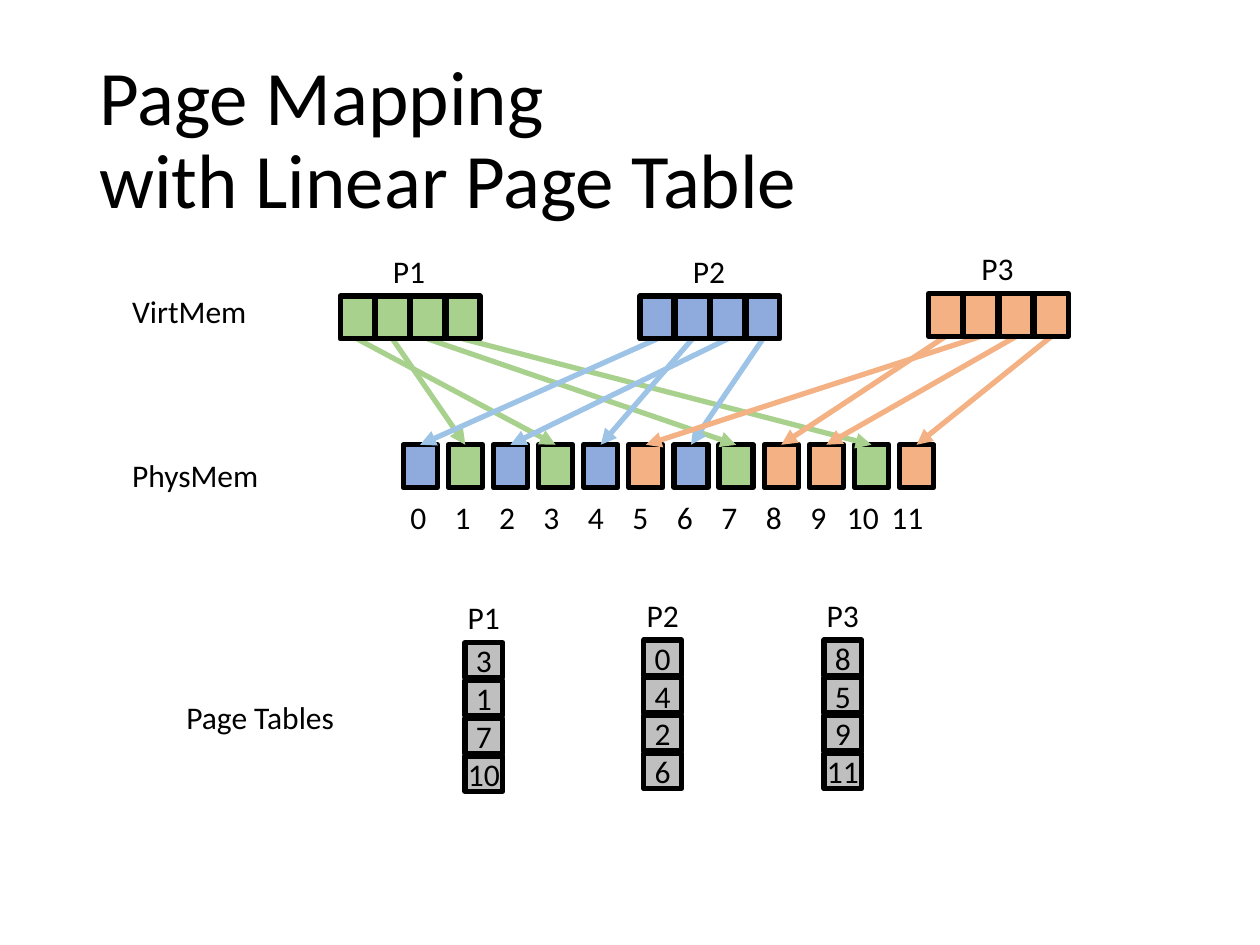
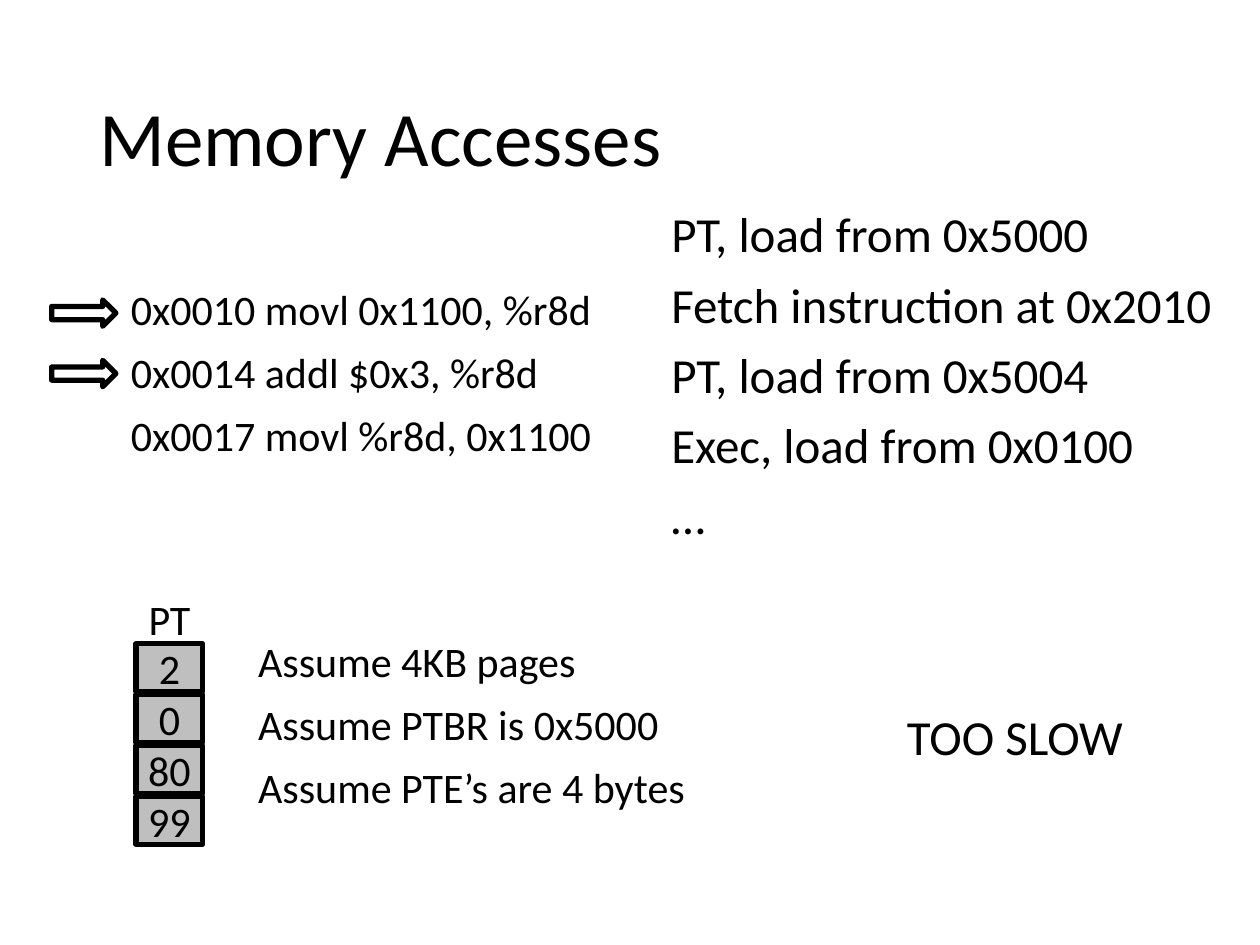
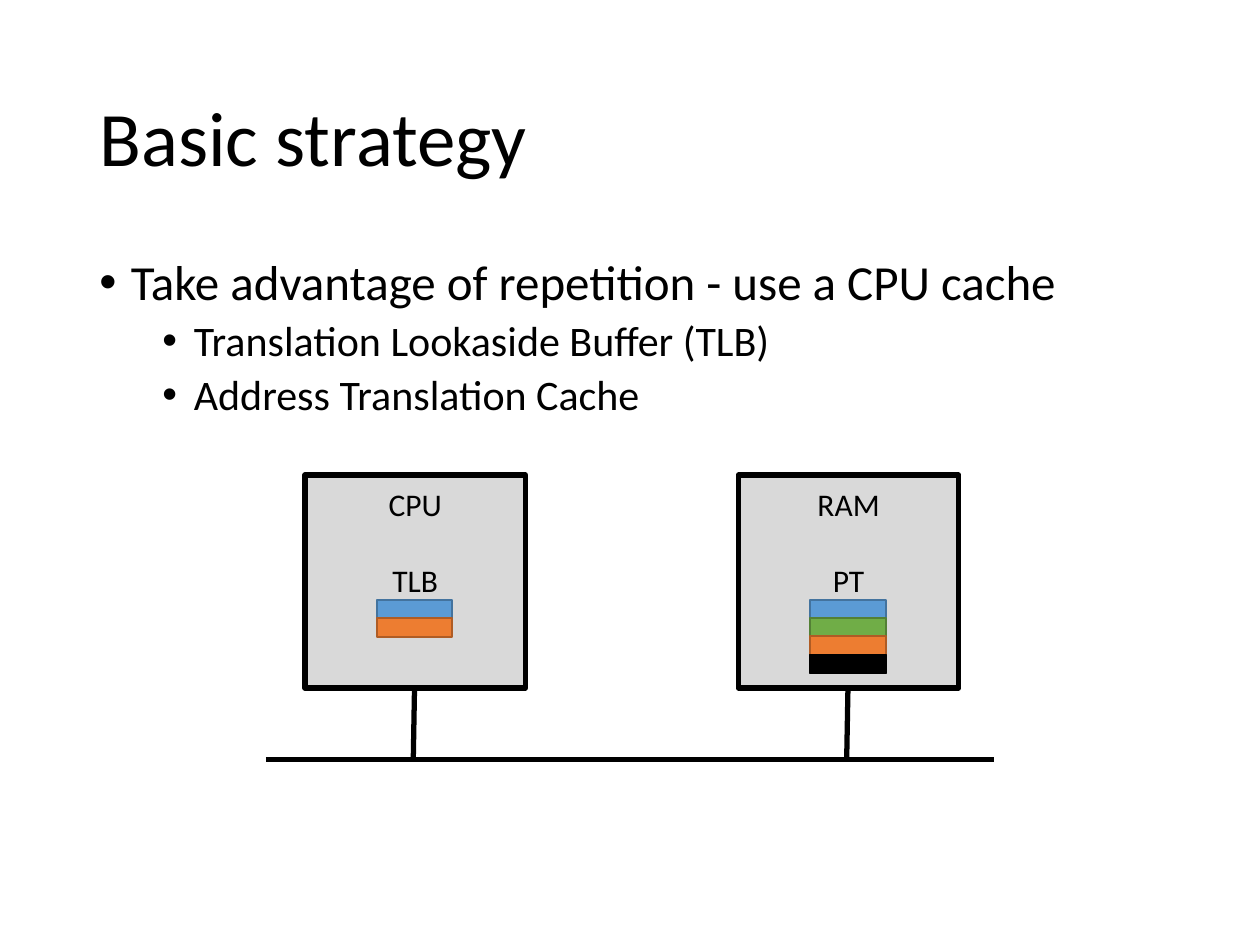
from dataclasses import dataclass

from lxml import etree
from pptx import Presentation
from pptx.dml.color import RGBColor
from pptx.enum.shapes import MSO_CONNECTOR, MSO_SHAPE
from pptx.enum.text import MSO_ANCHOR, PP_ALIGN
from pptx.oxml.ns import qn
from pptx.util import Pt

LINE = MSO_CONNECTOR.STRAIGHT
RECT, ARROW = MSO_SHAPE.RECTANGLE, MSO_SHAPE.RIGHT_ARROW
TOP, MIDDLE = MSO_ANCHOR.TOP, MSO_ANCHOR.MIDDLE
LEFT, CENTER = PP_ALIGN.LEFT, PP_ALIGN.CENTER


@dataclass(frozen=True)
class Theme:
    font: str = "Calibri"
    ink: str = "000000"
    cell: str = "BFBFBF"
    chip: str = "D9D9D9"
    title: int = 44
    body: int = 28
    sub: int = 24
    small: int = 18
    thick: int = 3
    thin: int = 1


THEME = Theme()
SCALE = 9144  # EMU per px, 100 px to the inch

# Page mapping: each process has its cell colour, arrow colour, places and table
PROCS = [
    dict(name="P1", fill="A9D18E", arrow="A9D18E", virt=(270, 235),
         table=(369, 510), pages=[3, 1, 7, 10]),
    dict(name="P2", fill="8FAADC", arrow="9DC3E6", virt=(508, 235),
         table=(511, 508), pages=[0, 4, 2, 6]),
    dict(name="P3", fill="F4B183", arrow="F4B183", virt=(737, 233),
         table=(654, 508), pages=[8, 5, 9, 11]),
]
SIDE = [("VirtMem", (95, 227, 112, 40)), ("PhysMem", (95, 357, 121, 40)),
        ("Page Tables", (138, 549, 139, 40))]
FRAMES = 12
FRAME_W, FRAME_H = 27, 34
PHYS_X, PHYS_Y, PHYS_SPAN = 320, 353, 394
VIRT_STEP = 28

# Memory accesses
STEPS = ["PT, load from 0x5000", "Fetch instruction at 0x2010",
         "PT, load from 0x5004", "Exec, load from 0x0100", "…"]
CODE = ["0x0010 movl 0x1100, %r8d", "0x0014 addl $0x3, %r8d",
        "0x0017 movl %r8d, 0x1100"]
FACTS = ["Assume 4KB pages", "Assume PTBR is 0x5000", "Assume PTE’s are 4 bytes"]
NOTES = [(STEPS, (523, 162, 451, 476), THEME.body),
         (CODE, (94, 225, 421, 166), THEME.sub),
         (FACTS, (195, 504, 421, 166), THEME.sub),
         (["TOO SLOW"], (710, 561, 210, 53), THEME.body)]
POINTERS = [238, 286]
PT_ROWS = [2, 0, 80, 99]

# Basic strategy
LEAD = "Take advantage of repetition - use a CPU cache"
POINTS = ["Translation Lookaside Buffer (TLB)", "Address Translation Cache"]
BLUE, GREEN, ORANGE, BLACK = (("5B9BD5", "43739E"), ("70AD47", "538035"),
                              ("ED7D31", "AF5C24"), ("000000", "000000"))
CHIPS = [("CPU", "TLB", 242, [BLUE, ORANGE]),
         ("RAM", "PT", 586, [BLUE, GREEN, ORANGE, BLACK])]


def px(*vals):
    return [round(v * SCALE) for v in vals]


def rgb(code):
    return RGBColor.from_string(code)


def add_tag(parent, name, **attrs):
    return etree.SubElement(parent, qn(name), attrs)


def write(shape, lines, size=THEME.small, align=LEFT, anchor=TOP, wrap=True,
          inset=None, ratio=None, before=None, bullet=None, indent=0, tabs=(),
          more=False):
    """Put one paragraph per line; more=True adds to text already there.

    inset is left, top, right, bottom; before lists points or gives one value.
    """
    frame = shape.text_frame
    frame.word_wrap, frame.vertical_anchor = wrap, anchor
    if inset is not None:
        (frame.margin_left, frame.margin_top,
         frame.margin_right, frame.margin_bottom) = px(*inset)
    for i, line in enumerate(lines):
        para = frame.add_paragraph() if i or more else frame.paragraphs[0]
        para.text, para.alignment = line, align
        if ratio:
            para.line_spacing = ratio
        gap = before[i] if isinstance(before, list) else before
        if gap is not None:
            para.space_before = Pt(gap)
        for run in para.runs:
            run.font.name, run.font.size = THEME.font, Pt(size)
            run.font.color.rgb = rgb(THEME.ink)
        props = para._p.get_or_add_pPr()
        if bullet:
            left, hang = px(indent, -25)
            props.set("marL", str(left))
            props.set("indent", str(hang))
            add_tag(props, "a:buFont", typeface="Arial")
            add_tag(props, "a:buChar", char=bullet)
        if tabs:
            stops = add_tag(props, "a:tabLst")
            for stop in px(*tabs):
                add_tag(stops, "a:tab", pos=str(stop), algn="ctr")


def add_text(slide, box, lines, **fmt):
    shape = slide.shapes.add_textbox(*px(*box))
    write(shape, lines, **fmt)
    return shape


def add_box(slide, box, fill=None, line=THEME.ink, width=THEME.thick, kind=RECT):
    shape = slide.shapes.add_shape(kind, *px(*box))
    shape.shadow.inherit = False
    if fill:
        shape.fill.solid()
        shape.fill.fore_color.rgb = rgb(fill)
    else:
        shape.fill.background()
    shape.line.color.rgb, shape.line.width = rgb(line), Pt(width)
    return shape


def add_line(slide, start, end, color=THEME.ink, head=False):
    link = slide.shapes.add_connector(LINE, *px(*start, *end))
    link.line.color.rgb, link.line.width = rgb(color), Pt(THEME.thick)
    if head:
        add_tag(link.line._get_or_add_ln(), "a:tailEnd", type="triangle")
    add_tag(link._element.spPr, "a:effectLst")


def add_stack(slide, name, rows, box, step, rise, size):
    """Draw a page table: its name, rise px above, and a column of cells."""
    x, y, w, h = box
    add_text(slide, (x - 8, y - rise, w + 16, rise), [name], size=size,
             align=CENTER, wrap=False)
    for i, row in enumerate(rows):
        cell = add_box(slide, (x, y + i * step, w, h), THEME.cell)
        write(cell, [str(row)], size=size, align=CENTER, anchor=MIDDLE,
              inset=(0, 0, 0, 0))


def new_slide(deck, title):
    slide = deck.slides.add_slide(deck.slide_layouts[6])
    add_text(slide, (69, 40, 862, 145), [title], size=THEME.title,
             anchor=MIDDLE, ratio=0.9)
    return slide


def draw_mapping(deck):
    slide = new_slide(deck, "Page Mapping\nwith Linear Page Table")
    owner = {page: proc for proc in PROCS for page in proc["pages"]}
    spots = [PHYS_X + PHYS_SPAN * i / (FRAMES - 1) for i in range(FRAMES)]
    half = FRAME_W / 2
    for i, x in enumerate(spots):
        add_box(slide, (x, PHYS_Y, FRAME_W, FRAME_H), owner[i]["fill"])
    for proc in PROCS:
        x, y = proc["virt"]
        for i, page in enumerate(proc["pages"]):
            add_line(slide, (x + i * VIRT_STEP + half, y + FRAME_H),
                     (spots[page] + half, PHYS_Y), proc["arrow"], head=True)
    for proc in PROCS:
        x, y = proc["virt"]
        for i in range(len(proc["pages"])):
            add_box(slide, (x + i * VIRT_STEP, y, FRAME_W, FRAME_H), proc["fill"])
        add_text(slide, (x + 32, y - 40, 46, 40), [proc["name"]], wrap=False)
        add_stack(slide, proc["name"], proc["pages"], (*proc["table"], 30, 28),
                  30, 40, THEME.small)
    for name, box in SIDE:
        add_text(slide, box, [name], wrap=False)
    add_text(slide, (316, 390, 514, 40), ["\t".join(map(str, range(FRAMES)))],
             tabs=[6 + 35.3 * i for i in range(1, FRAMES)])


def draw_accesses(deck):
    slide = new_slide(deck, "Memory Accesses")
    for lines, box, size in NOTES:
        add_text(slide, box, lines, size=size, ratio=0.9, before=10)
    for y in POINTERS:
        add_box(slide, (41, y, 51, 21), kind=ARROW)
    add_stack(slide, "PT", PT_ROWS, (108, 511, 53, 38), 121 / 3, 45, THEME.sub)


def draw_strategy(deck):
    slide = new_slide(deck, "Basic strategy")
    body = add_text(slide, (69, 200, 862, 476), [LEAD], size=THEME.body,
                    ratio=0.9, before=10, bullet="•", indent=25)
    write(body, POINTS, size=THEME.sub, ratio=0.9, before=5, bullet="•",
          indent=75, more=True)
    add_line(slide, (211, 603), (789, 603))
    for name, store, x, bars in CHIPS:
        chip = add_box(slide, (x, 377, 175, 169), THEME.chip)
        write(chip, [name, store], align=CENTER, inset=(10, 8, 10, 5),
              before=[0, 22])
        for i, (fill, edge) in enumerate(bars):
            add_box(slide, (x + 57, 476 + i * 14.5, 60, 15), fill, edge, THEME.thin)
        add_line(slide, (x + 87, 546), (x + 86, 603))


def main():
    deck = Presentation()
    deck.slide_width, deck.slide_height = px(1000, 750)
    for draw in (draw_mapping, draw_accesses, draw_strategy):
        draw(deck)
    deck.save("out.pptx")


if __name__ == "__main__":
    main()
